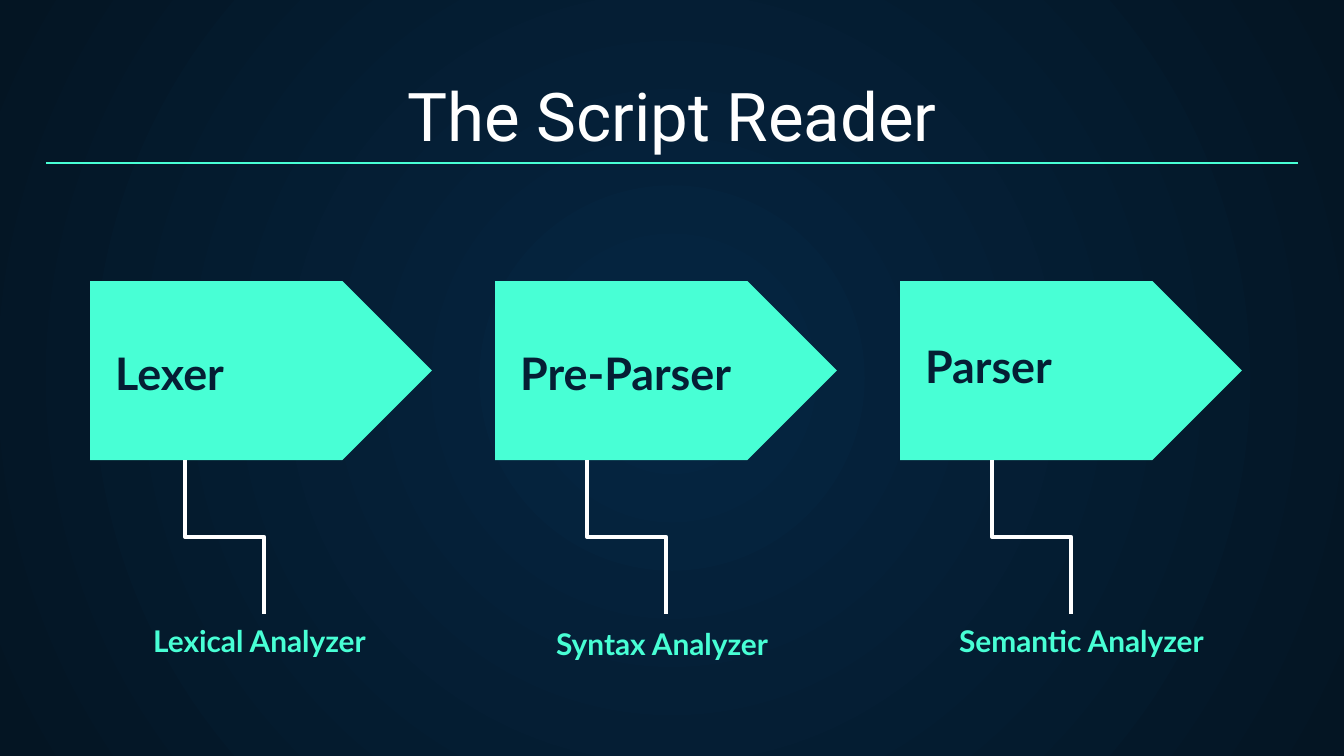
"""Build the Script Reader slide: three stages, each linked to its analyzer."""
import pptx
import pptx.dml.color
import pptx.enum.shapes
import pptx.enum.text
import pptx.oxml.ns
import pptx.util
import lxml.etree

PX = 914400 / 134.4
MINT, NAVY, WHITE = "48FFD5", "051E34", "FFFFFF"
qn = pptx.oxml.ns.qn
MIDDLE_Y = 537
DROP, SHIFT = 154, 79


def color(target, value):
    target.rgb = pptx.dml.color.RGBColor.from_string(value)


def add_text(box, words, font, size, fill, bold=False):
    shape = slide.shapes.add_textbox(*[round(value * PX) for value in box])
    frame = shape.text_frame
    frame.word_wrap = True
    frame.margin_left = frame.margin_right = pptx.util.Inches(0.1)
    frame.margin_top = frame.margin_bottom = pptx.util.Inches(0.1)
    run = frame.paragraphs[0].add_run()
    run.text = words
    run.font.name = font
    run.font.size = pptx.util.Pt(size)
    run.font.bold = bold
    color(run.font.color, fill)
    return frame


presentation = pptx.Presentation()
presentation.slide_width = round(1344 * PX)
presentation.slide_height = round(756 * PX)
slide = presentation.slides.add_slide(presentation.slide_layouts[6])

background = slide.background.fill
background.gradient()
for stop, value in zip(background.gradient_stops, ("052643", "041523")):
    color(stop.color, value)
gradient = slide.element.find(".//" + qn("a:gradFill"))
gradient.remove(gradient.find(qn("a:lin")))
gradient_path = lxml.etree.SubElement(gradient, qn("a:path"), path="circle")
lxml.etree.SubElement(gradient_path, qn("a:fillToRect"), l="50000", t="50000", r="50000", b="50000")

title = add_text((46, 79, 1252, 89), "The Script Reader", "Roboto", 36, WHITE)
title.vertical_anchor = pptx.enum.text.MSO_ANCHOR.BOTTOM
title.paragraphs[0].alignment = pptx.enum.text.PP_ALIGN.CENTER

connector_types = pptx.enum.shapes.MSO_CONNECTOR
rule = slide.shapes.add_connector(
    connector_types.STRAIGHT, *[round(value * PX) for value in (46, 163, 1298, 163)])
color(rule.line.color, MINT)
rule.line.width = pptx.util.Pt(0.75)
lxml.etree.SubElement(rule.element.spPr, qn("a:effectLst"))

stages = [
    ("Lexer", 332, 185, "Lexical Analyzer", (140, 609, 247, 69)),
    ("Pre-Parser", 332, 587, "Syntax Analyzer", (543, 612, 247, 69)),
    ("Parser", 325, 992, "Semantic Analyzer", (946, 609, 286, 69)),
]
for index, (stage, stage_top, link_x, analyzer, analyzer_box) in enumerate(stages):
    left = 90 + 405 * index
    arrow = slide.shapes.add_shape(
        pptx.enum.shapes.MSO_SHAPE.PENTAGON,
        *[round(value * PX) for value in (left, 281, 342, 179)])
    arrow.shadow.inherit = False
    arrow.fill.solid()
    color(arrow.fill.fore_color, MINT)
    arrow.line.fill.background()
    add_text((left + 12, stage_top, 247, 91), stage, "Lato", 24, NAVY, True)

    center_x = link_x + SHIFT / 2
    ends = (center_x + DROP / 2, MIDDLE_Y - SHIFT / 2, center_x - DROP / 2, MIDDLE_Y + SHIFT / 2)
    link = slide.shapes.add_connector(connector_types.ELBOW, *[round(value * PX) for value in ends])
    link.element.spPr.find(qn("a:xfrm")).set("rot", "16200000")
    color(link.line.color, WHITE)
    link.line.width = pptx.util.Pt(2.25)
    lxml.etree.SubElement(link.element.spPr, qn("a:effectLst"))
    add_text(analyzer_box, analyzer, "Lato", 16, MINT, True)

presentation.save("out.pptx")
